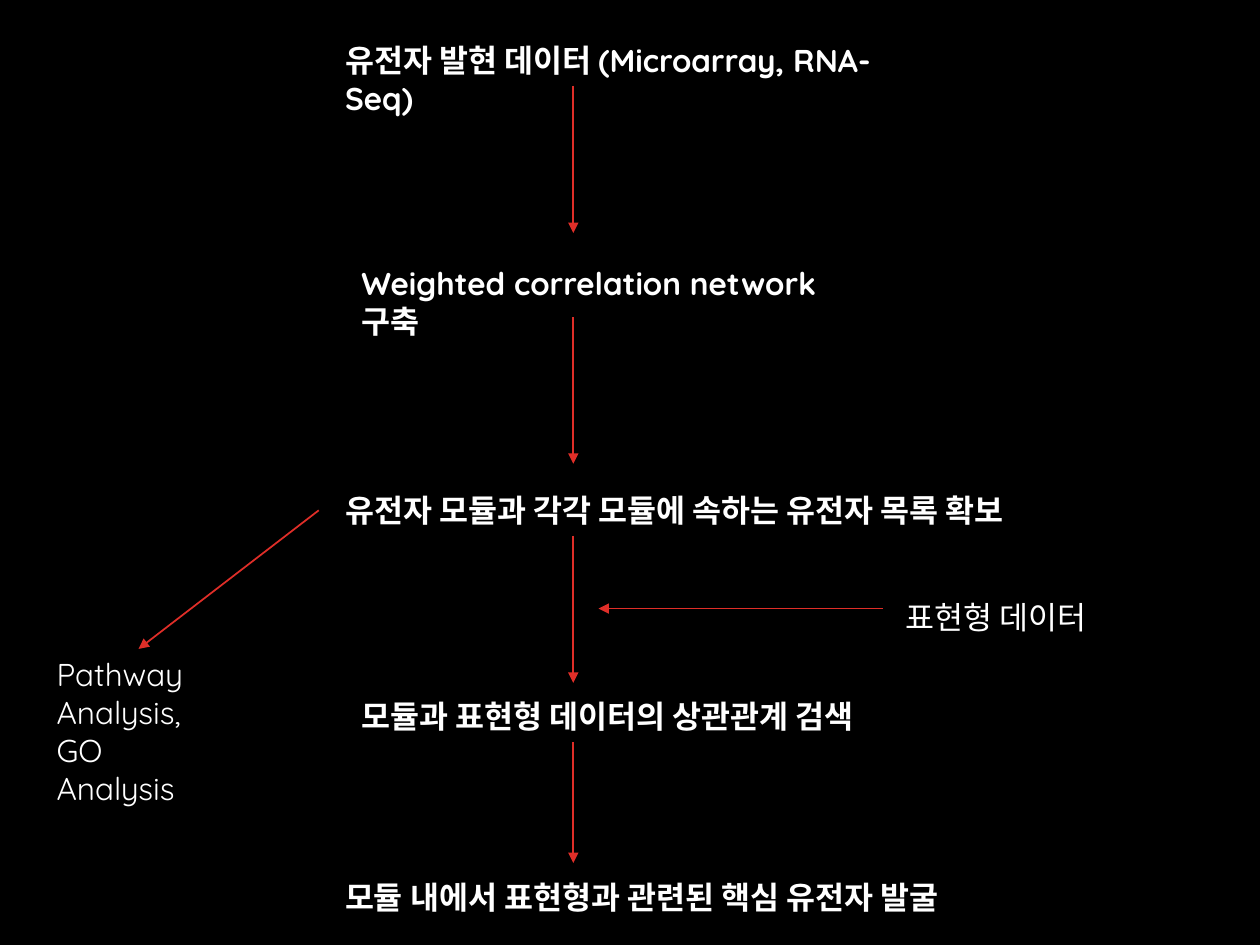
from lxml import etree
from pptx import Presentation
from pptx import util as u
from pptx.dml.color import RGBColor
from pptx.enum import shapes, text
from pptx.oxml import ns

BLACK = RGBColor(0x00, 0x00, 0x00)
WHITE = RGBColor(0xFF, 0xFF, 0xFF)
RED = RGBColor(0xDF, 0x2E, 0x28)

# Grid of 100 columns by 75 rows
CELL = u.Inches(0.1)
LABEL_HEIGHT = 4
FLOW_COLUMN = 45.5

presentation = Presentation()
presentation.slide_width = 100 * CELL
presentation.slide_height = 75 * CELL
slide = presentation.slides.add_slide(presentation.slide_layouts[6])
slide.background.fill.solid()
slide.background.fill.fore_color.rgb = BLACK


def add_label(lines, column, row, columns, rows=LABEL_HEIGHT, bold=False):
    box = slide.shapes.add_textbox(*(int(n * CELL) for n in (column, row, columns, rows)))
    frame = box.text_frame
    frame.word_wrap = True
    frame.auto_size = text.MSO_AUTO_SIZE.NONE
    for index, line in enumerate(lines):
        paragraph = frame.add_paragraph() if index else frame.paragraphs[0]
        run = paragraph.add_run()
        run.text = line
        run.font.name = "Quicksand"
        run.font.size = u.Pt(18)
        run.font.bold = bold
        run.font.color.rgb = WHITE


def add_arrow(*ends):
    arrow = slide.shapes.add_connector(
        shapes.MSO_CONNECTOR.STRAIGHT, *(int(n * CELL) for n in ends))
    arrow.line.color.rgb = RED
    arrow.line.width = u.Pt(1)
    etree.SubElement(arrow.line._get_or_add_ln(), ns.qn("a:tailEnd"), type="triangle")
    etree.SubElement(arrow._element.spPr, ns.qn("a:effectLst"))


# Main steps, top to bottom: wording, column, row, width
steps = [
    ("유전자 발현 데이터 (Microarray, RNA-Seq)", 26.4, 2.8, 47.2),
    ("Weighted correlation network 구축", 27.7, 20.5, 39.7),
    ("유전자 모듈과 각각 모듈에 속하는 유전자 목록 확보", 26.4, 38.5, 59.1),
    ("모듈과 표현형 데이터의 상관관계 검색", 27.7, 54.8, 45.3),
    ("모듈 내에서 표현형과 관련된 핵심 유전자 발굴", 26.4, 69.2, 54),
]
for wording, column, row, columns in steps:
    add_label([wording], column, row, columns, bold=True)

# Arrows between the steps: start and end row
for start, end in [(6.8, 18.5), (25.2, 36.8), (42.5, 54.2), (58.9, 68.5)]:
    add_arrow(FLOW_COLUMN, start, FLOW_COLUMN, end)

# Side branch to pathway analysis
add_arrow(25.3, 40.5, 11, 51.5)
add_label(["Pathway", "Analysis,", "GO Analysis"], 3.5, 51.5, 14.1, 10.1)

# Phenotype data feeding in from the right
add_arrow(70.1, 48.3, 47.5, 48.3)
add_label(["표현형 데이터"], 70.9, 47, 18.3)

presentation.save("out.pptx")
